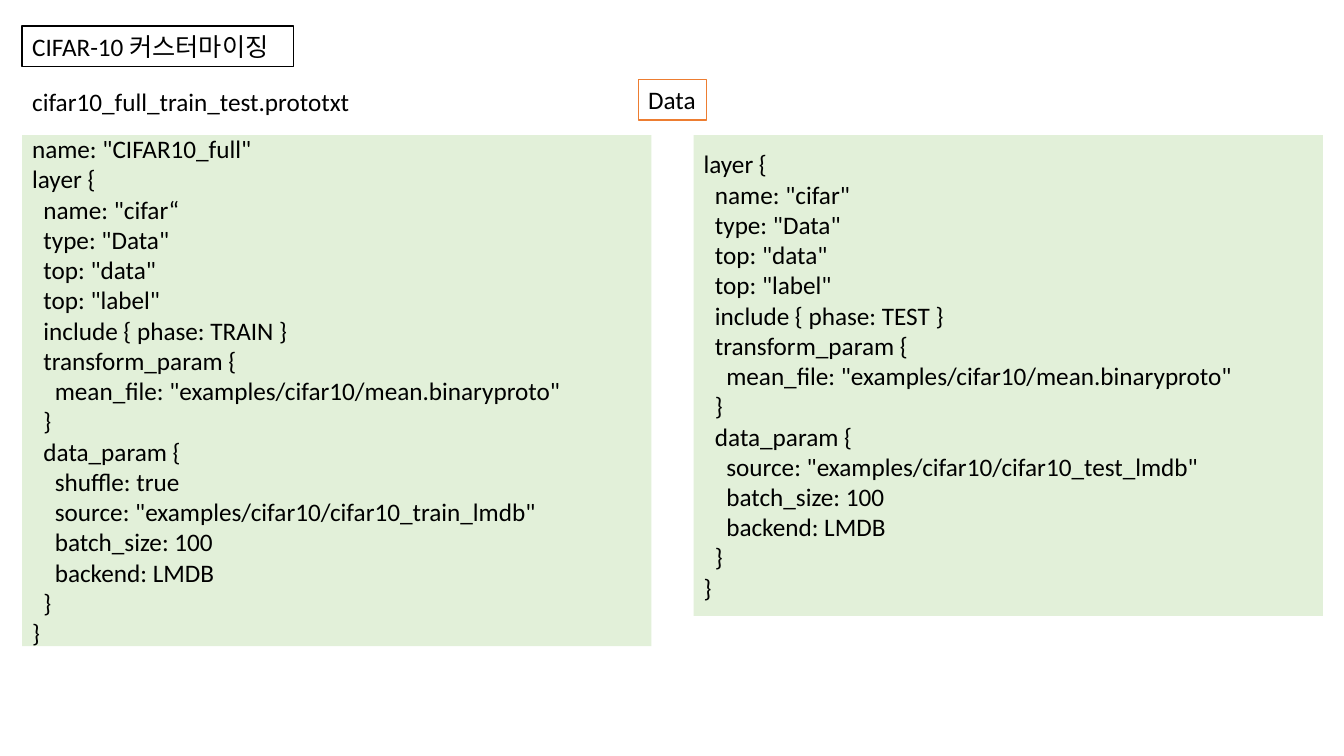
import pptx
import pptx.util
import pptx.dml.color
import pptx.enum.shapes
import pptx.enum.text

Inches = pptx.util.Inches
RGBColor = pptx.dml.color.RGBColor
BLACK = RGBColor(0x00, 0x00, 0x00)
WHITE = RGBColor(0xFF, 0xFF, 0xFF)
ORANGE = RGBColor(0xED, 0x7D, 0x31)
PALE_GREEN = RGBColor(0xE2, 0xF0, 0xD9)

TRAIN_CODE = """name: "CIFAR10_full"
layer {
  name: "cifar“
  type: "Data"
  top: "data"
  top: "label"
  include { phase: TRAIN }
  transform_param {
    mean_file: "examples/cifar10/mean.binaryproto"
  }
  data_param {
    shuffle: true
    source: "examples/cifar10/cifar10_train_lmdb"
    batch_size: 100
    backend: LMDB
  }
}"""

TEST_CODE = """layer {
  name: "cifar"
  type: "Data"
  top: "data"
  top: "label"
  include { phase: TEST }
  transform_param {
    mean_file: "examples/cifar10/mean.binaryproto"
  }
  data_param {
    source: "examples/cifar10/cifar10_test_lmdb"
    batch_size: 100
    backend: LMDB
  }
}"""

deck = pptx.Presentation()
deck.slide_width = Inches(13.33)
deck.slide_height = Inches(7.5)
slide = deck.slides.add_slide(deck.slide_layouts[6])


def write_text(box, text):
    box.text_frame.text = text
    for para in box.text_frame.paragraphs:
        para.alignment = pptx.enum.text.PP_ALIGN.LEFT
        para.font.name = "Calibri"
        para.font.size = pptx.util.Pt(18)
        para.font.color.rgb = BLACK


labels = [
    ("CIFAR-10 커스터마이징", 0.22, 0.26, 2.69, BLACK),
    ("cifar10_full_train_test.prototxt", 0.22, 0.81, 3.38, None),
    ("Data", 6.33, 0.79, 0.68, ORANGE),
]
for text, left, top, width, border in labels:
    label = slide.shapes.add_textbox(Inches(left), Inches(top), Inches(width), Inches(0.4))
    label.text_frame.word_wrap = False
    label.text_frame.auto_size = pptx.enum.text.MSO_AUTO_SIZE.SHAPE_TO_FIT_TEXT
    if border is not None:
        label.fill.solid()
        label.fill.fore_color.rgb = WHITE
        label.line.color.rgb = border
        label.line.width = pptx.util.Pt(1)
    write_text(label, text)

for code, left, height in [(TRAIN_CODE, 0.22, 5.07), (TEST_CODE, 6.88, 4.77)]:
    panel = slide.shapes.add_shape(
        pptx.enum.shapes.MSO_SHAPE.RECTANGLE,
        Inches(left), Inches(1.34), Inches(6.24), Inches(height))
    panel.shadow.inherit = False
    panel.fill.solid()
    panel.fill.fore_color.rgb = PALE_GREEN
    panel.line.fill.background()
    panel.text_frame.word_wrap = True
    panel.text_frame.vertical_anchor = pptx.enum.text.MSO_ANCHOR.MIDDLE
    write_text(panel, code)

deck.save("out.pptx")
